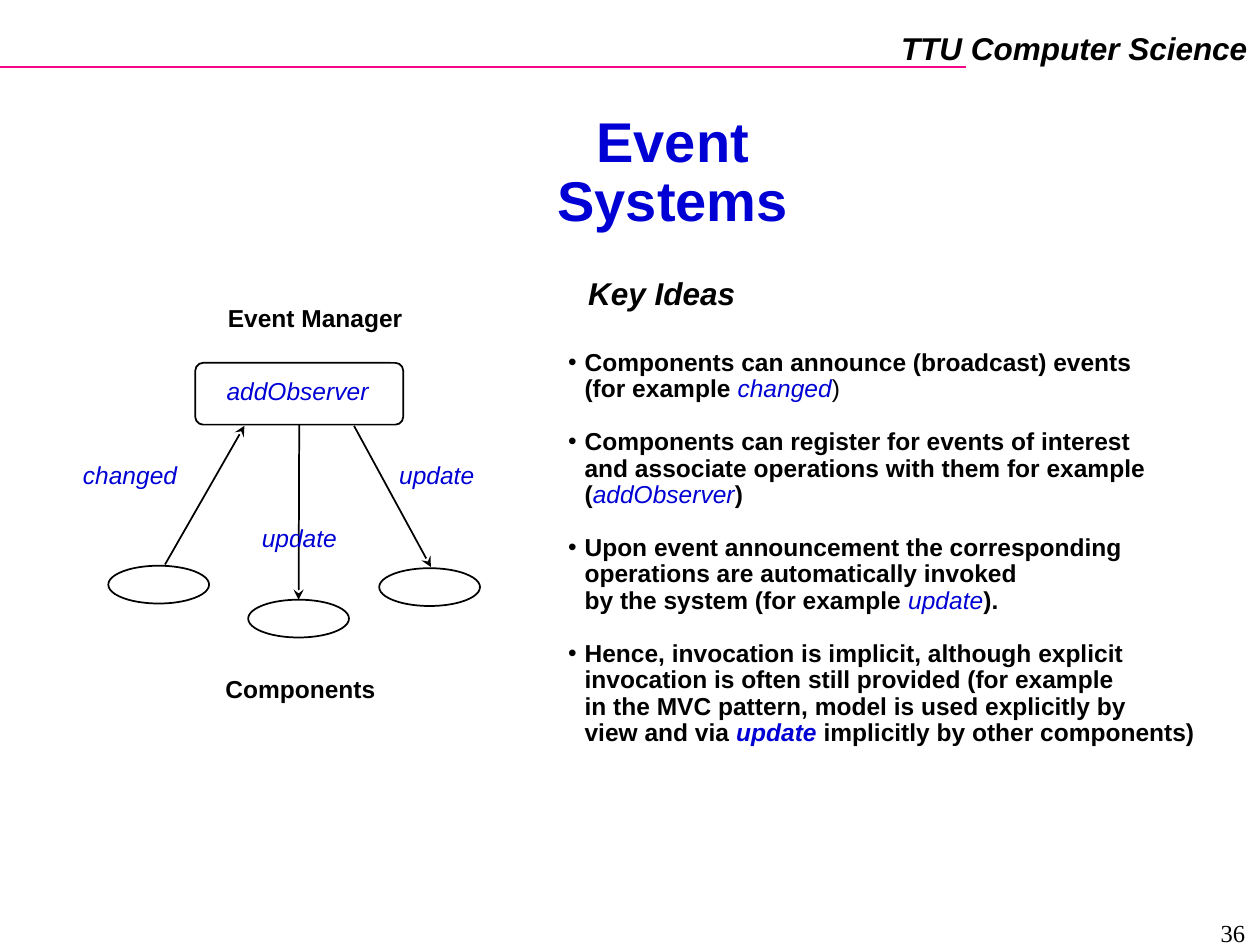
import dataclasses

import lxml.etree
import pptx
import pptx.dml.color
import pptx.enum.shapes
import pptx.enum.text
import pptx.oxml.ns
import pptx.util

EMU_PER_PX = 9144
ALIGN = pptx.enum.text.PP_ALIGN
SHAPES = pptx.enum.shapes.MSO_SHAPE


@dataclasses.dataclass(frozen=True)
class Style:
    size: int
    color: str
    bold: bool = False
    italic: bool = False
    font: str = "Arial"


@dataclasses.dataclass(frozen=True)
class Theme:
    ink: str = "000000"
    rule: str = "F20884"
    line_width: int = 1
    title: Style = Style(32, "0000D4", bold=True)
    heading: Style = Style(18, "000000", bold=True, italic=True)
    strong: Style = Style(14, "000000", bold=True)
    plain: Style = Style(14, "000000")
    code: Style = Style(14, "0000D4", italic=True)
    strong_code: Style = Style(14, "0000D4", bold=True, italic=True)
    number: Style = Style(14, "000000", font="Times New Roman")


THEME = Theme()

KEY_IDEAS = [
    [
        [("Components can announce (broadcast) events", THEME.strong)],
        [("(for example ", THEME.strong), ("changed", THEME.code), (")", THEME.plain)],
    ],
    [
        [("Components can register for events of interest", THEME.strong)],
        [("and associate operations with them for example", THEME.strong)],
        [("(", THEME.strong), ("addObserver", THEME.code), (")", THEME.strong)],
    ],
    [
        [("Upon event announcement the corresponding", THEME.strong)],
        [("operations are automatically invoked", THEME.strong)],
        [("by the system (for example ", THEME.strong), ("update", THEME.code), (").", THEME.strong)],
    ],
    [
        [("Hence, invocation is implicit, although explicit", THEME.strong)],
        [("invocation is often still provided (for example", THEME.strong)],
        [("in the MVC pattern, model is used explicitly by", THEME.strong)],
        [("view and via ", THEME.strong), ("update", THEME.strong_code),
         (" implicitly by other components)", THEME.strong)],
    ],
]


def px(length):
    return pptx.util.Emu(length * EMU_PER_PX)


def rgb(color):
    return pptx.dml.color.RGBColor.from_string(color)


def add_run(paragraph, text, style):
    run = paragraph.add_run()
    run.text = text
    run.font.name = style.font
    run.font.size = pptx.util.Pt(style.size)
    run.font.bold = style.bold
    run.font.italic = style.italic
    run.font.color.rgb = rgb(style.color)


def add_label(slide, box, text, style, align=ALIGN.LEFT, spacing=0.9, wrap=False):
    label = slide.shapes.add_textbox(*map(px, box))
    label.text_frame.word_wrap = wrap
    paragraph = label.text_frame.paragraphs[0]
    paragraph.alignment = align
    paragraph.line_spacing = spacing
    add_run(paragraph, text, style)


def place(placeholder, box, inset_x, inset_y):
    placeholder.left, placeholder.top, placeholder.width, placeholder.height = map(px, box)
    frame = placeholder.text_frame
    frame.margin_left = frame.margin_right = px(inset_x)
    frame.margin_top = frame.margin_bottom = px(inset_y)
    frame.auto_size = pptx.enum.text.MSO_AUTO_SIZE.NONE
    frame.word_wrap = True
    return frame


def add_line(slide, start, end, color, arrow=False):
    line = slide.shapes.add_connector(
        pptx.enum.shapes.MSO_CONNECTOR.STRAIGHT, *map(px, (*start, *end)))
    line.line.color.rgb = rgb(color)
    line.line.width = pptx.util.Pt(THEME.line_width)
    if arrow:
        lxml.etree.SubElement(
            line.line._get_or_add_ln(), pptx.oxml.ns.qn("a:tailEnd"), type="stealth")
    lxml.etree.SubElement(line._element.spPr, pptx.oxml.ns.qn("a:effectLst"))
    return line


def add_outline(slide, kind, box):
    outline = slide.shapes.add_shape(kind, *map(px, box))
    outline.shadow.inherit = False
    outline.fill.background()
    outline.line.color.rgb = rgb(THEME.ink)
    outline.line.width = pptx.util.Pt(THEME.line_width)
    return outline


def add_header(slide, left, top, width):
    add_line(slide, (left, top + 53), (left + 767, top + 53), THEME.rule)
    add_label(slide, (left + width - 295, top + 18, 295, 40),
              "TTU Computer Science", THEME.heading, ALIGN.RIGHT, 1.0)


def add_title(slide, left, top, width, height):
    frame = place(slide.shapes.title, (left, top, width, height), 8, 3)
    frame.vertical_anchor = pptx.enum.text.MSO_ANCHOR.TOP
    paragraph = frame.paragraphs[0]
    paragraph.alignment = ALIGN.CENTER
    paragraph.line_spacing = 0.87
    add_run(paragraph, "Event Systems", THEME.title)


def add_event_diagram(slide, left, top):
    manager = add_outline(slide, SHAPES.ROUNDED_RECTANGLE, (left + 99, top + 50, 165, 49))
    manager.adjustments[0] = 0.125
    components = [
        add_outline(slide, SHAPES.OVAL, (left + x, top + y, 80, 30))
        for x, y in ((30, 211), (141, 238), (245, 213))
    ]
    arrows = [
        add_line(slide, (left + x1, top + y1), (left + x2, top + y2), THEME.ink, arrow=True)
        for x1, y1, x2, y2 in ((75, 210, 138, 100), (184, 100, 184, 237), (225, 100, 286, 212))
    ]
    arrows[1].begin_connect(manager, 2)
    arrows[1].end_connect(components[1], 0)
    for text, x, y, width, style in (
        ("Components", 113, 295, 139, THEME.strong),
        ("Event Manager", 115, 0, 159, THEME.strong),
        ("changed", 0, 125, 95, THEME.code),
        ("update", 142, 175, 80, THEME.code),
        ("update", 251, 125, 80, THEME.code),
        ("addObserver", 114, 58, 133, THEME.code),
    ):
        add_label(slide, (left + x, top + y, width, 31), text, style)


def add_bullet(paragraph):
    properties = paragraph._p.get_or_add_pPr()
    properties.set("marL", str(px(13)))
    properties.set("indent", str(px(-13)))
    color = lxml.etree.SubElement(properties, pptx.oxml.ns.qn("a:buClr"))
    lxml.etree.SubElement(color, pptx.oxml.ns.qn("a:srgbClr"), val=THEME.ink)
    lxml.etree.SubElement(properties, pptx.oxml.ns.qn("a:buFont"), typeface="Arial")
    lxml.etree.SubElement(properties, pptx.oxml.ns.qn("a:buChar"), char="•")


def add_key_ideas(slide, left, top, width, height):
    add_label(slide, (left + 16, top, 137, 37), "Key Ideas", THEME.heading)
    frame = place(slide.placeholders[1], (left, top + 57, width, height - 57), 10, 5)
    for index, idea in enumerate(KEY_IDEAS):
        paragraph = frame.add_paragraph() if index else frame.paragraphs[0]
        add_bullet(paragraph)
        paragraph.line_spacing = 0.9
        paragraph.space_before = pptx.util.Pt(15 if index else 0)
        paragraph.font.size = pptx.util.Pt(THEME.strong.size)
        for row, line in enumerate(idea):
            if row:
                paragraph.add_line_break()
            for text, style in line:
                add_run(paragraph, text, style)


def main():
    presentation = pptx.Presentation()
    presentation.slide_width, presentation.slide_height = px(1000), px(750)
    slide = presentation.slides.add_slide(presentation.slide_layouts[1])
    add_header(slide, 0, 0, 1000)
    add_title(slide, 369, 89, 330, 98)
    add_event_diagram(slide, 56, 238)
    add_key_ideas(slide, 441, 216, 530, 385)
    add_label(slide, (765, 724, 233, 22), "36", THEME.number, ALIGN.RIGHT, 1.0, wrap=True)
    presentation.save("out.pptx")


if __name__ == "__main__":
    main()
